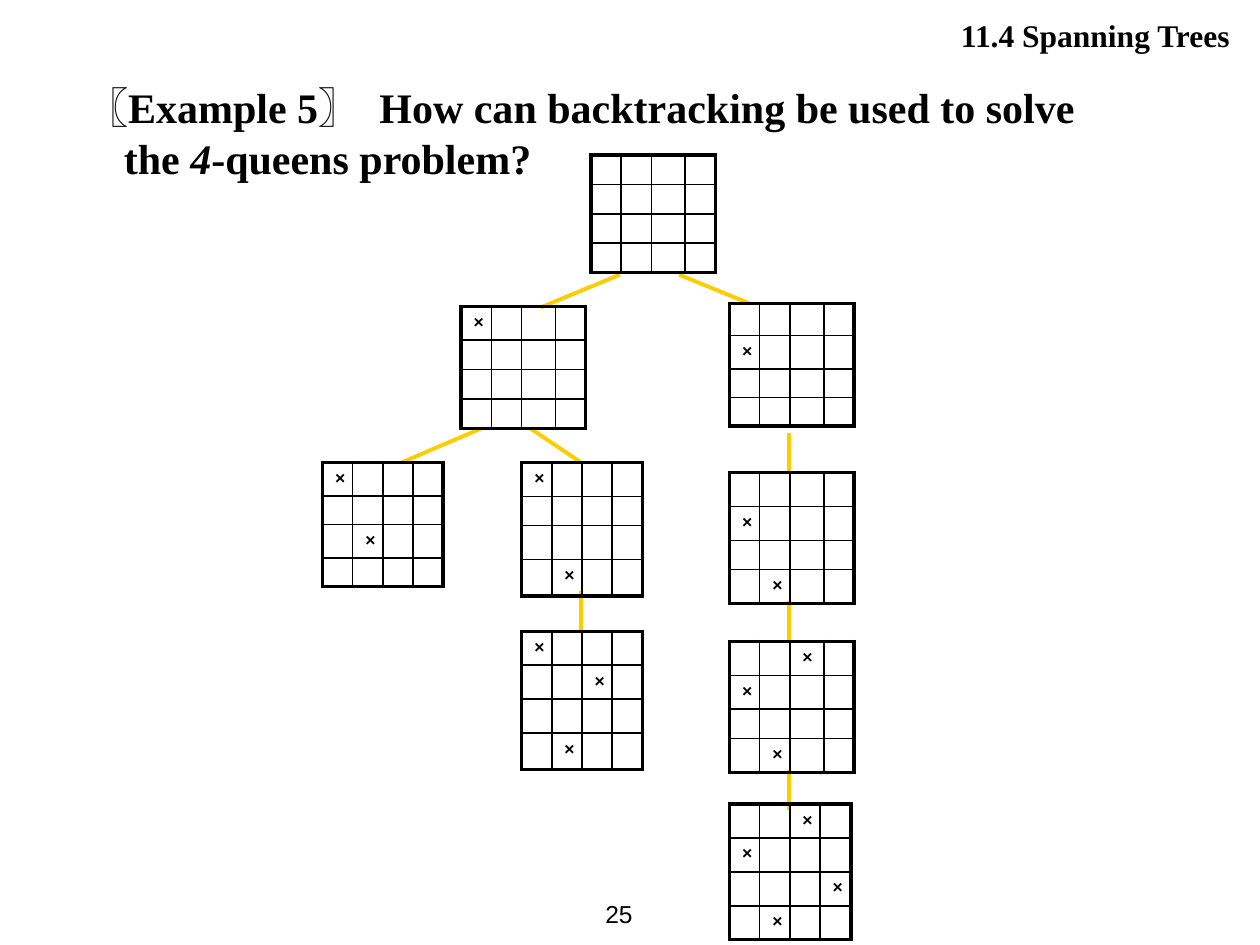
from lxml.etree import SubElement
from pptx import Presentation
from pptx.dml.color import RGBColor
from pptx.enum.shapes import MSO_CONNECTOR
from pptx.enum.text import MSO_ANCHOR, PP_ALIGN
from pptx.oxml.ns import qn
from pptx.util import Pt

COLORS = {"ink": "000000", "branch": "FFCC00"}
TITLE = {"name": "Times New Roman", "size": Pt(24), "bold": True}
HEADER = {"name": "Times New Roman", "size": Pt(18), "bold": True}
NUMBER = {"name": "Arial", "size": Pt(14), "bold": False}
QUEEN = {"name": "Arial", "size": Pt(10), "bold": True}

WIDE = (17.1, 17.1, 19.4, 16.6)
NARROW = (17.1, 17.1, 17.1, 16.6)
LAST = (17.1, 17.1, 16.6, 17.8)

BRANCHES = [
    (354.2, 157, 308.9, 175.7),
    (275, 244.8, 229.7, 264.2),
    (303.1, 244.8, 331.9, 264.2),
    (331.9, 337.7, 331.9, 360.7),
    (388.1, 157, 428.4, 173.5),
    (450.7, 247.7, 450.7, 270),
    (450.7, 343.4, 450.7, 366.5),
    (450.7, 439.9, 450.7, 463),
]

BOARDS = [
    (337.7, 88.6, WIDE, (16.8, 16.8, 16.8, 16.8), "---- ---- ---- ----"),
    (263.5, 175, WIDE, (19.4, 16.8, 16.8, 16.8), "×--- ---- ---- ----"),
    (184.3, 264.2, NARROW, (18.7, 16.2, 18.7, 16.2), "×--- ---- -×-- ----"),
    (298.1, 264.2, NARROW, (19.4, 16.8, 19.4, 20.9), "×--- ---- ---- -×--"),
    (298.1, 360.7, NARROW, (19.4, 19.4, 19.4, 20.9), "×--- --×- ---- -×--"),
    (416.9, 173.5, WIDE, (18.2, 18.7, 16.2, 16.2), "---- ×--- ---- ----"),
    (416.9, 270, WIDE, (19.4, 19.4, 16.8, 19.4), "---- ×--- ---- -×--"),
    (416.9, 366.5, WIDE, (19.4, 19.4, 16.8, 19.4), "--×- ×--- ---- -×--"),
    (416.9, 459.4, LAST, (19.4, 19.4, 19.4, 19.4), "--×- ×--- ---× -×--"),
]


class SlideWriter:
    def __init__(self, page, colors):
        self.page = page
        self.colors = colors

    def color(self, name):
        return RGBColor.from_string(self.colors[name])

    def span(self, para, text, style):
        span = para.add_run()
        span.text = text
        for name, value in style.items():
            setattr(span.font, name, value)
        span.font.color.rgb = self.color("ink")

    def text(self, place, spans, align=PP_ALIGN.LEFT, anchor=MSO_ANCHOR.TOP, hanging=0):
        box = self.page.shapes.add_textbox(*map(Pt, place))
        frame = box.text_frame
        frame.word_wrap = True
        frame.vertical_anchor = anchor
        para = frame.paragraphs[0]
        para.alignment = align
        if hanging:
            properties = para._p.get_or_add_pPr()
            properties.set("marL", str(Pt(hanging)))
            properties.set("indent", str(-Pt(hanging)))
        for text, style in spans:
            self.span(para, text, style)

    def branch(self, *ends):
        line = self.page.shapes.add_connector(MSO_CONNECTOR.STRAIGHT, *map(Pt, ends))
        line.line.color.rgb = self.color("branch")
        line.line.width = Pt(2.25)
        SubElement(line._element.spPr, qn("a:effectLst"))

    def borders(self, cell, row, column):
        properties = cell._tc.get_or_add_tcPr()
        edges = {"lnL": column == 0, "lnR": column == 3, "lnT": row == 0, "lnB": row == 3}
        for tag, outer in edges.items():
            line = SubElement(properties, qn(f"a:{tag}"), w=str(Pt(2.25 if outer else 1)))
            fill = SubElement(line, qn("a:solidFill"))
            SubElement(fill, qn("a:srgbClr"), val=self.colors["ink"])

    def board(self, left, top, widths, heights, squares):
        frame = self.page.shapes.add_table(
            4, 4, Pt(left), Pt(top), Pt(sum(widths)), Pt(sum(heights)))
        table = frame.table
        table.first_row = table.horz_banding = False
        for column, width in zip(table.columns, widths):
            column.width = Pt(width)
        for row, (height, marks) in enumerate(zip(heights, squares.split())):
            table.rows[row].height = Pt(height)
            for column, mark in enumerate(marks):
                cell = table.cell(row, column)
                self.borders(cell, row, column)
                cell.fill.background()
                para = cell.text_frame.paragraphs[0]
                if mark == "×":
                    self.span(para, mark, QUEEN)
                else:
                    SubElement(para._p, qn("a:endParaRPr"), sz="600")


def main():
    deck = Presentation()
    deck.slide_width, deck.slide_height = Pt(720), Pt(540)
    writer = SlideWriter(deck.slides.add_slide(deck.slide_layouts[6]), COLORS)

    writer.text((320.4, 504, 48.2, 36), [("25", NUMBER)], PP_ALIGN.RIGHT, MSO_ANCHOR.MIDDLE)
    writer.text((36.7, 43.2, 619.2, 53.3), [
        (" 〖Example 5〗  How can backtracking be used to solve the ", TITLE),
        ("4", {**TITLE, "italic": True}),
        ("-queens problem?", TITLE),
    ], hanging=27)
    for branch in BRANCHES:
        writer.branch(*branch)
    for board in BOARDS:
        writer.board(*board)
    writer.text((286.6, 5.8, 427.7, 28.8), [(" 11.4 Spanning Trees ", HEADER)], PP_ALIGN.RIGHT)

    deck.save("out.pptx")


if __name__ == "__main__":
    main()
